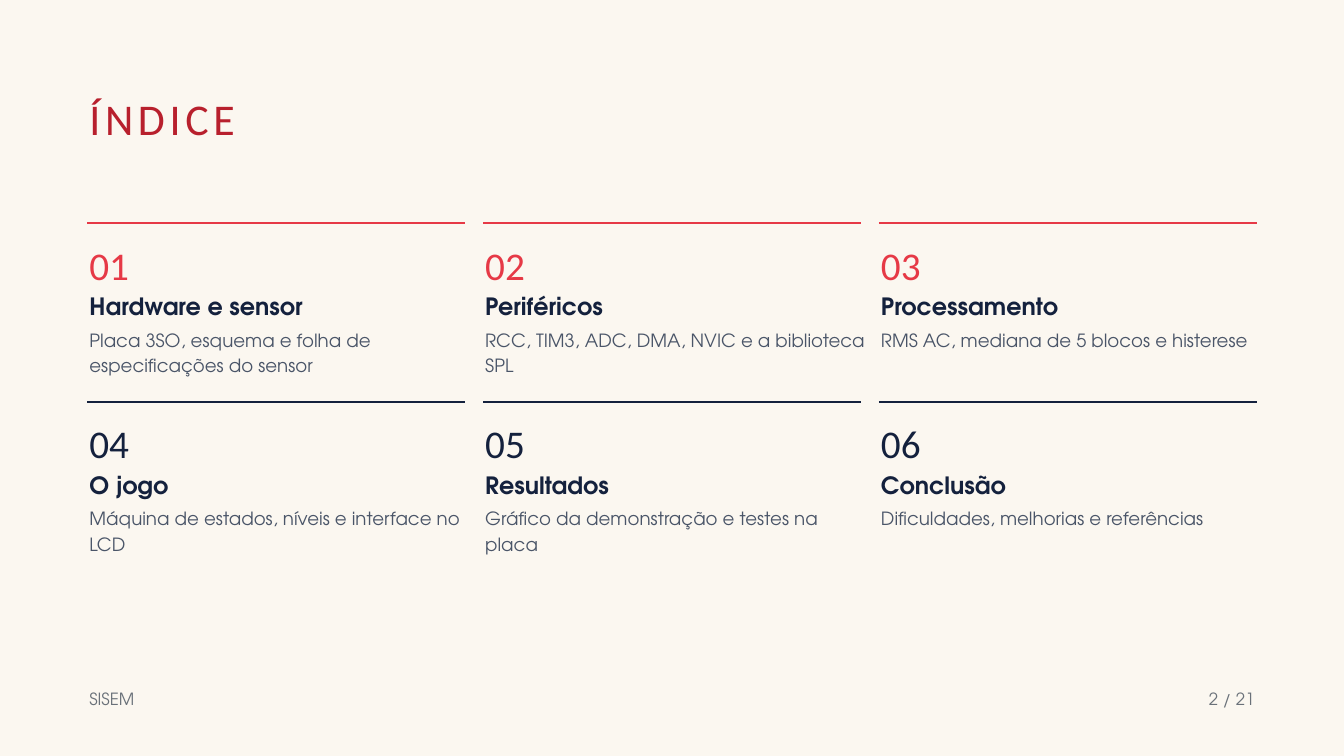
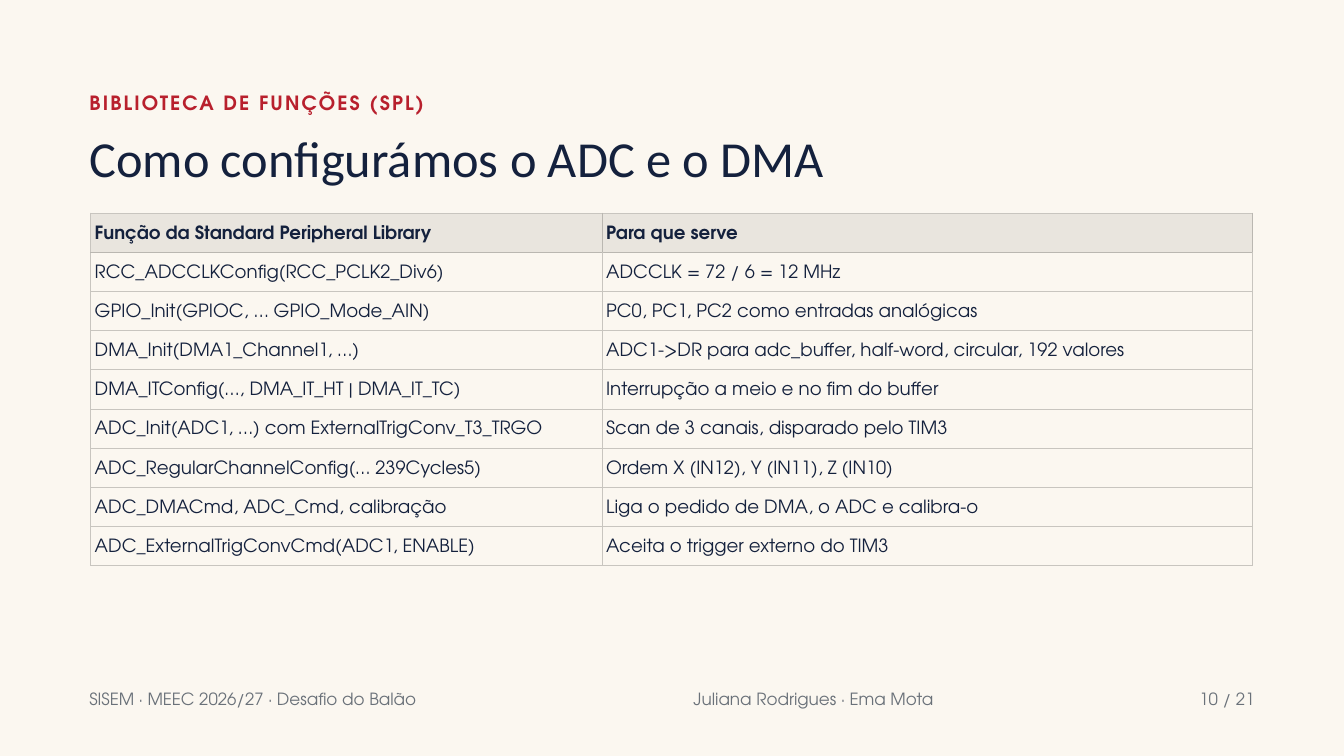
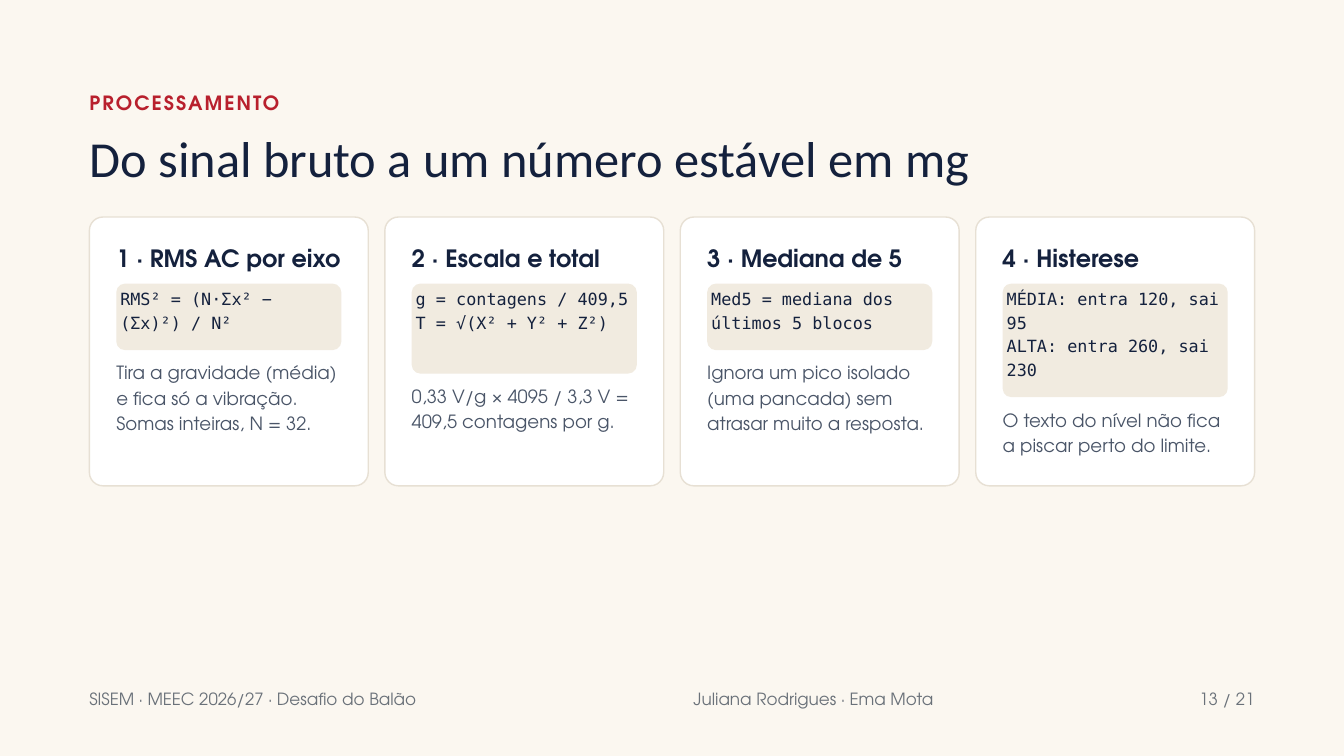
from lxml import etree
from pptx import Presentation
from pptx.dml.color import RGBColor
from pptx.enum.shapes import MSO_CONNECTOR, MSO_SHAPE
from pptx.enum.text import MSO_AUTO_SIZE, PP_ALIGN
from pptx.oxml.ns import qn
from pptx.util import Inches, Pt

# Shared palette, fonts and margins
CREAM, WHITE, SAND, CARD_EDGE = "FBF7F0", "FFFFFF", "F1EBE0", "E7E0D4"
NAVY, SLATE, GREY = "14213D", "4A5568", "6A7179"
CRIMSON, RED = "B8202D", "E63946"
HEADER_FILL, HEADER_RULE, CELL_RULE = "E9E5DE", "BAB7B1", "C8C5BF"
SANS, TITLE_FONT, MONO = "TeX Gyre Adventor", "Calibri", "DejaVu Sans Mono"
LEFT, RIGHT = 1.33, 18.67
TOTAL_PAGES = 21

# Text styles: font, size, line spacing, colour, bold, letter spacing
INDEX_TITLE = (TITLE_FONT, 47, 65.8, CRIMSON, False, 5)
KICKER = (SANS, 21, 29.4, CRIMSON, True, 2.2)
TITLE = (TITLE_FONT, 54, 59.4, NAVY, False, 0)
HEADING = (SANS, 25.5, 30.6, NAVY, True, 0)
BODY = (SANS, 19.5, 27.3, SLATE, False, 0)
CELL = (SANS, 19.5, 27.3, NAVY, False, 0)
CELL_HEAD = (SANS, 19.5, 27.3, NAVY, True, 0)
CODE = (MONO, 18, 25.2, NAVY, False, 0)
FOOTER = (SANS, 18, 25.2, GREY, False, 0)

TOPICS = [
    ("Hardware e sensor", "Placa 3SO, esquema e folha de especificações do sensor"),
    ("Periféricos", "RCC, TIM3, ADC, DMA, NVIC e a biblioteca SPL"),
    ("Processamento", "RMS AC, mediana de 5 blocos e histerese"),
    ("O jogo", "Máquina de estados, níveis e interface no LCD"),
    ("Resultados", "Gráfico da demonstração e testes na placa"),
    ("Conclusão", "Dificuldades, melhorias e referências"),
]

FUNCTIONS = [
    ("Função da Standard Peripheral Library", "Para que serve"),
    ("RCC_ADCCLKConfig(RCC_PCLK2_Div6)", "ADCCLK = 72 / 6 = 12 MHz"),
    ("GPIO_Init(GPIOC, … GPIO_Mode_AIN)", "PC0, PC1, PC2 como entradas analógicas"),
    ("DMA_Init(DMA1_Channel1, …)",
     "ADC1->DR para adc_buffer, half-word, circular, 192 valores"),
    ("DMA_ITConfig(…, DMA_IT_HT | DMA_IT_TC)", "Interrupção a meio e no fim do buffer"),
    ("ADC_Init(ADC1, …) com ExternalTrigConv_T3_TRGO",
     "Scan de 3 canais, disparado pelo TIM3"),
    ("ADC_RegularChannelConfig(… 239Cycles5)", "Ordem X (IN12), Y (IN11), Z (IN10)"),
    ("ADC_DMACmd, ADC_Cmd, calibração", "Liga o pedido de DMA, o ADC e calibra-o"),
    ("ADC_ExternalTrigConvCmd(ADC1, ENABLE)", "Aceita o trigger externo do TIM3"),
]

# Heading, code, height of the code panel in lines, explanation
STEPS = [
    ("1 · RMS AC por eixo", "RMS² = (N·Σx² − (Σx)²) / N²", 2,
     "Tira a gravidade (média) e fica só a vibração. Somas inteiras, N = 32."),
    ("2 · Escala e total", "g = contagens / 409,5\nT = √(X² + Y² + Z²)", 3,
     "0,33 V/g × 4095 / 3,3 V = 409,5 contagens por g."),
    ("3 · Mediana de 5", "Med5 = mediana dos\núltimos 5 blocos", 2,
     "Ignora um pico isolado (uma pancada) sem atrasar muito a resposta."),
    ("4 · Histerese", "MÉDIA: entra 120, sai 95\nALTA: entra 260, sai 230", 4,
     "O texto do nível não fica a piscar perto do limite."),
]


def rgb(value):
    return RGBColor.from_string(value)


# Element builders
def style_text(tf, style, align=PP_ALIGN.LEFT):
    font, size, leading, color, bold, tracking = style
    for p in tf.paragraphs:
        p.alignment = align
        p.line_spacing = Pt(leading)
        for r in p.runs:
            r.font.name, r.font.size, r.font.bold = font, Pt(size), bold
            r.font.color.rgb = rgb(color)
            if tracking:
                r.font._element.set("spc", str(round(tracking * 100)))


def add_text(s, text, x, y, w, h, style, align=PP_ALIGN.LEFT, inset=0, grow=True):
    tf = s.shapes.add_textbox(Inches(x), Inches(y), Inches(w), Inches(h)).text_frame
    tf.word_wrap = True
    tf.auto_size = MSO_AUTO_SIZE.SHAPE_TO_FIT_TEXT if grow else MSO_AUTO_SIZE.NONE
    tf.margin_left = tf.margin_right = tf.margin_top = tf.margin_bottom = Inches(inset)
    tf.text = text
    style_text(tf, style, align)


def add_rule(s, x, y, w, color):
    line = s.shapes.add_connector(MSO_CONNECTOR.STRAIGHT, Inches(x), Inches(y),
                                  Inches(x + w), Inches(y))
    line.line.color.rgb = rgb(color)
    line.line.width = Pt(2.25)
    etree.SubElement(line._element.spPr, qn("a:effectLst"))


def add_panel(s, x, y, w, h, radius, fill, edge=None):
    sp = s.shapes.add_shape(MSO_SHAPE.ROUNDED_RECTANGLE, Inches(x), Inches(y),
                            Inches(w), Inches(h))
    sp.adjustments[0] = radius / min(w, h)
    sp.shadow.inherit = False
    sp.fill.solid()
    sp.fill.fore_color.rgb = rgb(fill)
    if edge:
        sp.line.color.rgb = rgb(edge)
        sp.line.width = Pt(1.5)
    else:
        sp.line.fill.background()


def set_borders(cell, colors):
    tc_pr = cell._tc.get_or_add_tcPr()
    for side, color in zip("LRTB", colors):
        ln = etree.SubElement(tc_pr, qn(f"a:ln{side}"), w=str(Pt(1)))
        fill = etree.SubElement(ln, qn("a:solidFill"))
        etree.SubElement(fill, qn("a:srgbClr"), val=color)


def add_function_table(s, rows, x, y, widths, h):
    table = s.shapes.add_table(len(rows), len(widths), Inches(x), Inches(y),
                               Inches(sum(widths)), Inches(h)).table
    table.first_row = table.horz_banding = False
    for column, width in zip(table.columns, widths):
        column.width = Inches(width)
    for i, row in enumerate(rows):
        for j, text in enumerate(row):
            cell = table.cell(i, j)
            head = i == 0
            darker = (head and j > 0, head, i == 1, head)
            set_borders(cell, [HEADER_RULE if d else CELL_RULE for d in darker])
            if head:
                cell.fill.solid()
                cell.fill.fore_color.rgb = rgb(HEADER_FILL)
            else:
                cell.fill.background()
            cell.margin_left = cell.margin_right = Inches(0.06)
            cell.margin_top = cell.margin_bottom = Inches(0.06)
            cell.text_frame.text = text
            style_text(cell.text_frame, CELL_HEAD if head else CELL)


def add_topic(s, number, heading, detail, x, y, color):
    add_rule(s, x - 0.03, y, 5.62, color)
    number_style = (TITLE_FONT, 42, 42, color, False, 0)
    add_text(s, f"{number:02}", x, y + 0.38, 5.72, 0.55, number_style)
    add_text(s, heading, x, y + 1.02, 5.72, 0.47, HEADING)
    add_text(s, detail, x, y + 1.52, 5.72, 0.85, BODY)


def add_step_card(s, heading, code, code_lines, detail, x, y, w):
    add_panel(s, x, y, w, 4, 0.2, WHITE, CARD_EDGE)
    inner_x, code_y, code_w = x + 0.4, y + 0.99, w - 0.8
    code_h = 0.29 + 0.35 * code_lines
    add_text(s, heading, inner_x, y + 0.4, 3.45, 0.47, HEADING)
    add_panel(s, inner_x, code_y, code_w, code_h, 0.13, SAND)
    add_text(s, code, inner_x, code_y - 0.03, code_w, code_h + 0.03, CODE,
             inset=0.06, grow=False)
    add_text(s, detail, inner_x, code_y + code_h + 0.12, 3.45, 1.23, BODY)


# Slide frame
def new_slide(prs, page, course, authors=None):
    s = prs.slides.add_slide(prs.slide_layouts[6])
    s.background.fill.solid()
    s.background.fill.fore_color.rgb = rgb(CREAM)
    add_text(s, course, LEFT, 10.2, 5.66, 0.42, FOOTER)
    if authors:
        add_text(s, authors, 10.32, 10.2, 3.93, 0.42, FOOTER)
    add_text(s, f"{page} / {TOTAL_PAGES}", RIGHT - 0.96, 10.2, 0.96, 0.42, FOOTER,
             PP_ALIGN.RIGHT)
    return s


def content_slide(prs, page, kicker, title):
    s = new_slide(prs, page, "SISEM · MEEC 2026/27 · Desafio do Balão",
                  "Juliana Rodrigues · Ema Mota")
    add_text(s, kicker, LEFT, 1.29, 17.85, 0.49, KICKER)
    add_text(s, title, LEFT, 1.96, 17.85, 0.81, TITLE)
    return s


def main():
    prs = Presentation()
    prs.slide_width, prs.slide_height = Inches(20), Inches(11.25)

    # Index
    s = new_slide(prs, 2, "SISEM")
    add_text(s, "ÍNDICE", LEFT, 1.24, 17.85, 0.87, INDEX_TITLE)
    for i, (heading, detail) in enumerate(TOPICS):
        row, col = divmod(i, 3)
        add_topic(s, i + 1, heading, detail, LEFT + 5.89 * col, 3.32 + 2.66 * row,
                  (RED, NAVY)[row])

    # Library functions
    s = content_slide(prs, 10, "BIBLIOTECA DE FUNÇÕES (SPL)",
                      "Como configurámos o ADC e o DMA")
    add_function_table(s, FUNCTIONS, 1.35, 3.17, (7.61, 9.68), 5.25)

    # Processing steps
    s = content_slide(prs, 13, "PROCESSAMENTO",
                      "Do sinal bruto a um número estável em mg")
    card_w = 4.15
    pitch = (RIGHT - LEFT - card_w) / (len(STEPS) - 1)
    for i, step in enumerate(STEPS):
        add_step_card(s, *step, LEFT + pitch * i, 3.23, card_w)

    prs.save("out.pptx")


if __name__ == "__main__":
    main()
